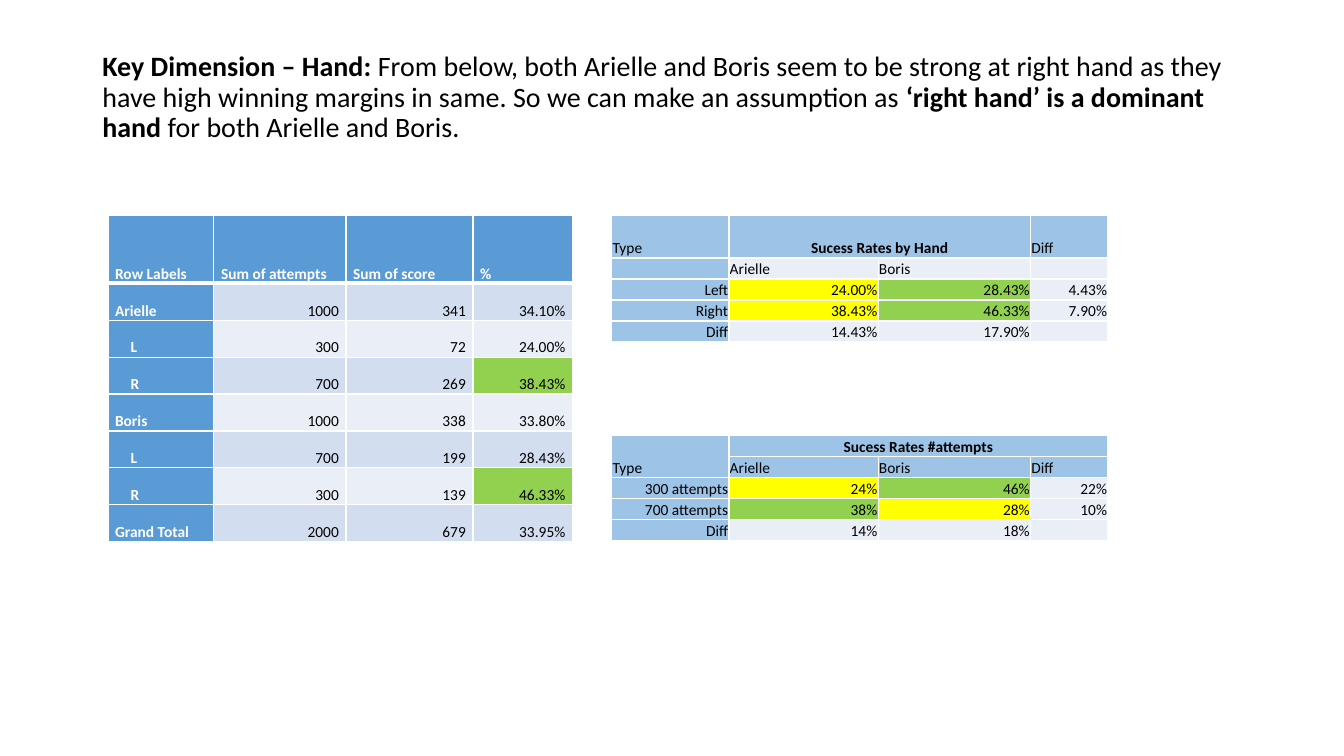
from dataclasses import dataclass

from lxml import etree
from pptx import Presentation
from pptx.dml.color import RGBColor
from pptx.enum.text import MSO_ANCHOR, PP_ALIGN
from pptx.oxml.ns import qn
from pptx.util import Cm, Pt

LEFT, CENTER, RIGHT = PP_ALIGN.LEFT, PP_ALIGN.CENTER, PP_ALIGN.RIGHT
TOP, BOTTOM = MSO_ANCHOR.TOP, MSO_ANCHOR.BOTTOM


@dataclass(frozen=True)
class Theme:
    font: str = "Calibri"
    title_size: int = 20
    table_size: int = 11
    black: str = "000000"
    white: str = "FFFFFF"
    header: str = "5B9BD5"
    soft_header: str = "9DC3E6"
    dark_band: str = "D2DEEF"
    light_band: str = "EAEFF7"
    green: str = "92D050"
    yellow: str = "FFFF00"
    line: float = 1
    heavy_line: float = 3


THEME = Theme()
# Letters used in the fill plans of the comparison tables
FILLS = {"H": THEME.soft_header, "P": THEME.light_band,
         "G": THEME.green, "Y": THEME.yellow}

PIVOT_ROWS = [
    ("Row Labels", "Sum of attempts", "Sum of score", "%"),
    ("Arielle", "1000", "341", "34.10%"),
    ("L", "300", "72", "24.00%"),
    ("R", "700", "269", "38.43%"),
    ("Boris", "1000", "338", "33.80%"),
    ("L", "700", "199", "28.43%"),
    ("R", "300", "139", "46.33%"),
    ("Grand Total", "2000", "679", "33.95%"),
]
HAND_ROWS = [
    ("Type", "Sucess Rates by Hand", "", "Diff"),
    ("", "Arielle", "Boris", ""),
    ("Left", "24.00%", "28.43%", "4.43%"),
    ("Right", "38.43%", "46.33%", "7.90%"),
    ("Diff", "14.43%", "17.90%", ""),
]
ATTEMPT_ROWS = [
    ("Type", "Sucess Rates #attempts", "", ""),
    ("", "Arielle", "Boris", "Diff"),
    ("300 attempts", "24%", "46%", "22%"),
    ("700 attempts", "38%", "28%", "10%"),
    ("Diff", "14%", "18%", ""),
]
TITLE_SPANS = [
    ("Key Dimension – Hand: ", True),
    ("From below, both Arielle and Boris seem to be strong at right hand as "
     "they have high winning margins in same. So we can make an assumption as ", False),
    ("‘right hand’ is a dominant hand", True),
    (" for both Arielle and Boris.", False),
]


def style_font(font, size, color, bold):
    font.name, font.size, font.bold = THEME.font, Pt(size), bold
    font.color.rgb = RGBColor.from_string(color)


def set_borders(cell, top, bottom):
    """White cell borders; they come before the fill in the cell properties."""
    properties = cell._tc.get_or_add_tcPr()
    sides = {"L": THEME.line, "R": THEME.line, "T": top, "B": bottom}
    for place, (side, width) in enumerate(sides.items()):
        line = etree.Element(qn("a:ln" + side), w=str(int(Pt(width))))
        fill = etree.SubElement(line, qn("a:solidFill"))
        etree.SubElement(fill, qn("a:srgbClr"), val=THEME.white)
        properties.insert(place, line)


def fill_cell(cell, text, fill, align, margins, color=THEME.black, bold=False,
              spacing=1.0, top=THEME.line, bottom=THEME.line):
    cell.fill.solid()
    cell.fill.fore_color.rgb = RGBColor.from_string(fill)
    set_borders(cell, top, bottom)
    cell.vertical_anchor = BOTTOM
    side, above = margins
    cell.margin_left = cell.margin_right = Cm(side)
    cell.margin_top, cell.margin_bottom = Cm(above), Cm(0)
    para = cell.text_frame.paragraphs[0]
    para.text = text
    para.alignment, para.line_spacing = align, spacing
    for span in para.runs:
        style_font(span.font, THEME.table_size, color, bold)
    # Keeps empty cells from stretching their row
    etree.SubElement(para._p, qn("a:endParaRPr"), sz=str(THEME.table_size * 100))
    return para


def add_grid(page, left, top, widths, heights):
    frame = page.shapes.add_table(len(heights), len(widths), Cm(left), Cm(top),
                                  Cm(sum(widths)), Cm(sum(heights)))
    table = frame.table
    table.first_row = table.horz_banding = False
    for column, width in zip(table.columns, widths):
        column.width = Cm(width)
    for row, height in zip(table.rows, heights):
        row.height = Cm(height)
    return table


def add_title(page, left, top, width, height):
    box = page.shapes.add_textbox(Cm(left), Cm(top), Cm(width), Cm(height))
    frame = box.text_frame
    frame.word_wrap, frame.vertical_anchor = True, TOP
    frame.margin_top = Cm(0.32)
    para = frame.paragraphs[0]
    para.line_spacing = 0.9
    for text, bold in TITLE_SPANS:
        span = para.add_run()
        span.text = text
        style_font(span.font, THEME.title_size, THEME.black, bold)


def add_pivot_table(page, left, top):
    """Attempts and scores per player and hand."""
    table = add_grid(page, left, top, [2.67, 3.33, 3.2, 2.51],
                     [1.7] + [0.93] * (len(PIVOT_ROWS) - 1))
    for r, row in enumerate(PIVOT_ROWS):
        for c, text in enumerate(row):
            heading = r == 0 or c == 0
            if heading:
                fill = THEME.header
            elif row[0] == "R" and c == 3:
                fill = THEME.green
            else:
                fill = THEME.dark_band if r % 2 else THEME.light_band
            para = fill_cell(
                table.cell(r, c), text, fill, LEFT if heading else RIGHT, (0.18, 0),
                color=THEME.white if heading else THEME.black, bold=heading, spacing=1.07,
                top=THEME.heavy_line if r == 1 else THEME.line,
                bottom=THEME.heavy_line if r == 0 else THEME.line)
            if c == 0 and text in ("L", "R"):
                para._p.get_or_add_pPr().set("indent", str(int(Cm(0.39))))


def add_comparison_table(page, left, top, rows, fills, heights, merges):
    """Success rates of both players; two heading rows above the figures."""
    table = add_grid(page, left, top, [2.95, 3.76, 3.84, 1.95], heights)
    for r, (row, plan) in enumerate(zip(rows, fills)):
        for c, (text, letter) in enumerate(zip(row, plan)):
            caption = (r, c) == (0, 1)
            align = CENTER if caption else LEFT if r < 2 else RIGHT
            fill_cell(table.cell(r, c), text, FILLS[letter], align, (0.02, 0.02),
                      bold=caption)
    for first, last in merges:
        table.cell(*first).merge(table.cell(*last))


def main():
    deck = Presentation()
    deck.slide_width, deck.slide_height = Cm(33.87), Cm(19.05)
    page = deck.slides.add_slide(deck.slide_layouts[6])
    tables_top, right_left, line_height = 5.44, 15.42, 0.53

    add_title(page, 2.33, 1.01, 29.21, 3.68)
    add_pivot_table(page, 2.72, tables_top)
    add_comparison_table(page, right_left, tables_top, HAND_ROWS,
                         ["HHHH", "HPPP", "HYGP", "HYGP", "HPPP"],
                         [2 * line_height] + [line_height] * 4,
                         [((0, 1), (0, 2))])
    add_comparison_table(page, right_left, 10.97, ATTEMPT_ROWS,
                         ["HHHH", "HHHH", "HYGP", "HGYP", "HPPP"],
                         [line_height] * 5,
                         [((0, 0), (1, 0)), ((0, 1), (0, 3))])
    deck.save("out.pptx")


if __name__ == "__main__":
    main()
